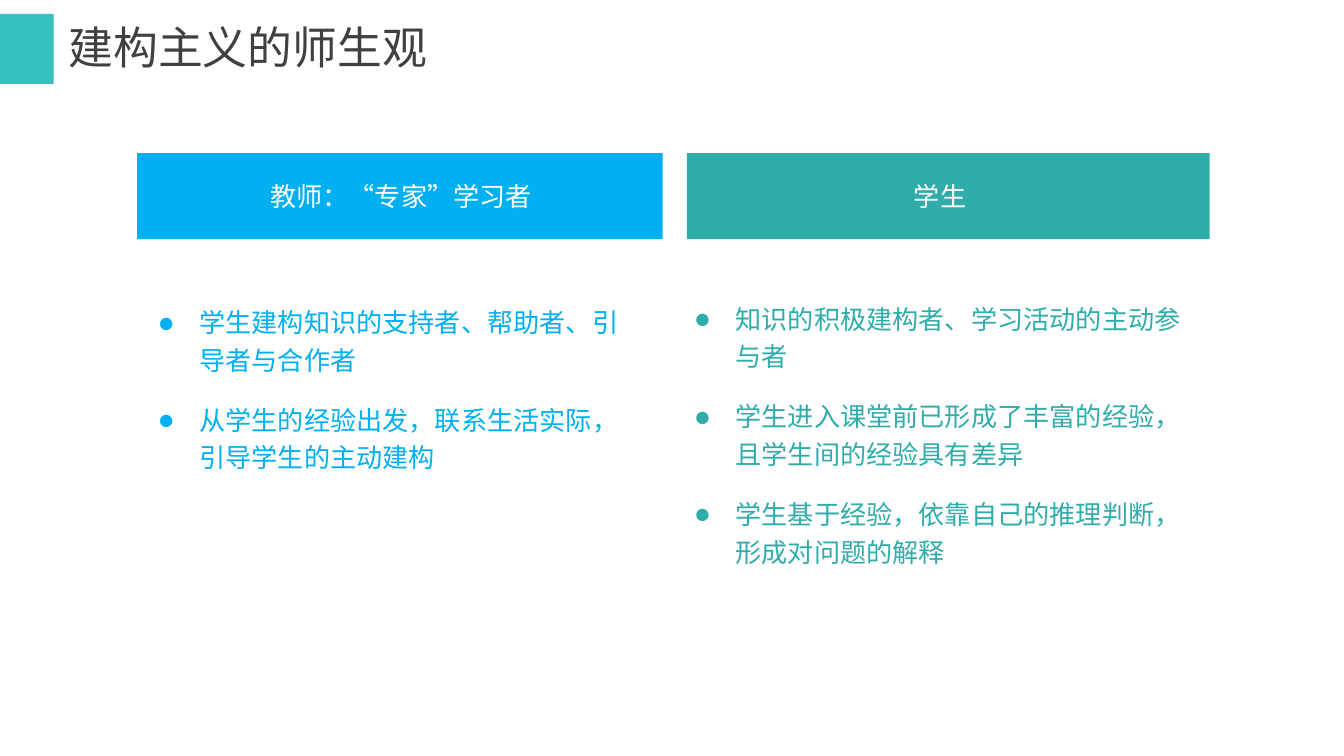
import pptx
import pptx.util
import pptx.dml.color
import pptx.enum.shapes
import pptx.enum.text
import pptx.oxml.ns
import lxml.etree

FACE = "Noto Sans CJK SC"
BLUE, TEAL, MINT = "00B0F0", "30ADAA", "36C0C0"
WHITE, GREY = "FFFFFF", "404040"
ALIGN = pptx.enum.text.PP_ALIGN
MIDDLE = pptx.enum.text.MSO_ANCHOR.MIDDLE
GROW = pptx.enum.text.MSO_AUTO_SIZE.SHAPE_TO_FIT_TEXT


def color(code):
    return pptx.dml.color.RGBColor.from_string(code)


def apply(item, style):
    for name, value in style.items():
        setattr(item, name, value)


def node(parent, tag, **attrs):
    return lxml.etree.SubElement(parent, pptx.oxml.ns.qn(tag), attrs)


class Deck:
    cols, rows = 100, 56.25

    def __init__(self):
        self.file = pptx.Presentation()
        self.file.slide_width = pptx.util.Inches(10)
        self.file.slide_height = self.file.slide_width * 9 // 16
        self.slide = self.file.slides.add_slide(self.file.slide_layouts[6])

    def place(self, left, top, width, height):
        across = self.file.slide_width / self.cols
        down = self.file.slide_height / self.rows
        return [round(n) for n in
                (left * across, top * down, width * across, height * down)]

    def block(self, area, fill):
        kind = pptx.enum.shapes.MSO_SHAPE.RECTANGLE
        shape = self.slide.shapes.add_shape(kind, *self.place(*area))
        shape.shadow.inherit = False
        shape.fill.solid()
        shape.fill.fore_color.rgb = color(fill)
        shape.line.fill.background()

    def text(self, area, lines, tint, size=14, frame=None, para=None, dots=False):
        body = self.slide.shapes.add_textbox(*self.place(*area)).text_frame
        apply(body, {"word_wrap": True, **(frame or {})})
        for i, line in enumerate(lines):
            item = body.add_paragraph() if i else body.paragraphs[0]
            if dots:
                self.dot(item)
            apply(item, para or {})
            run = item.add_run()
            run.text = line
            apply(run.font, {"size": pptx.util.Pt(size), "name": FACE})
            run.font.color.rgb = color(tint)
            node(run.font._element, "a:ea", typeface=FACE)

    def dot(self, item):
        props = item._p.get_or_add_pPr()
        hang = pptx.util.Inches(0.31)
        props.set("marL", str(hang))
        props.set("indent", str(-hang))
        node(props, "a:buSzPct", val="110000")
        node(props, "a:buFont", typeface="Arial")
        node(props, "a:buChar", char="●")

    def label(self, area, line):
        self.text(area, [line], WHITE, frame={"auto_size": GROW},
                  para={"alignment": ALIGN.CENTER})

    def points(self, area, lines, tint):
        self.text(area, lines, tint, frame={"auto_size": GROW}, dots=True,
                  para={"line_spacing": 1.2, "space_after": pptx.util.Pt(12)})

    def title(self, area, line):
        side, edge = pptx.util.Inches(0.07), pptx.util.Inches(0.03)
        self.text(area, [line], GREY, 24, {
            "margin_left": side, "margin_right": side,
            "margin_top": edge, "margin_bottom": edge,
            "vertical_anchor": MIDDLE})


def main():
    deck = Deck()
    deck.block((0, 1.04, 4, 5.2), MINT)
    deck.title((4.4, 1, 84.3, 4.9), "建构主义的师生观")
    panels = [
        (BLUE, (10.2, 39.1), "教师：“专家”学习者", (18.3, 23.1),
         (10.75, 21.85, 37.6, 14),
         ["学生建构知识的支持者、帮助者、引导者与合作者",
          "从学生的经验出发，联系生活实际，引导学生的主动建构"]),
        (TEAL, (51.1, 38.9), "学生", (61, 17.9),
         (50.65, 21.6, 39.4, 21.3),
         ["知识的积极建构者、学习活动的主动参与者",
          "学生进入课堂前已形成了丰富的经验，且学生间的经验具有差异",
          "学生基于经验，依靠自己的推理判断，形成对问题的解释"]),
    ]
    for tint, bar, head, span, area, lines in panels:
        deck.block((bar[0], 11.4, bar[1], 6.4), tint)
        deck.label((span[0], 12.9, span[1], 3.4), head)
        deck.points(area, lines, tint)
    deck.file.save("out.pptx")


if __name__ == "__main__":
    main()
